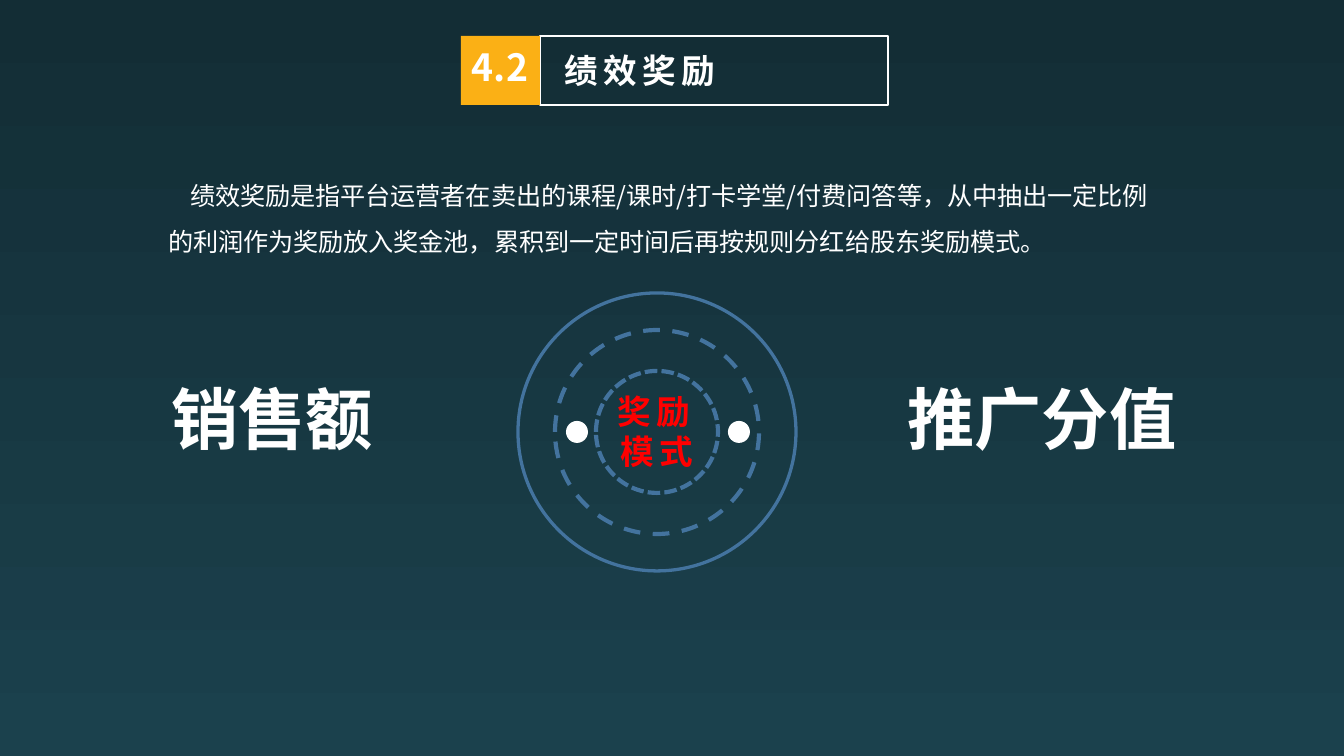
from typing import NamedTuple, Optional

from lxml.etree import SubElement
from pptx import Presentation
from pptx.dml.color import RGBColor
from pptx.enum.dml import MSO_LINE_DASH_STYLE as Dash
from pptx.enum.shapes import MSO_SHAPE as Shape
from pptx.enum.text import MSO_AUTO_SIZE as AutoSize, PP_ALIGN as Align
from pptx.oxml.ns import qn
from pptx.util import Pt

WIDTH, HEIGHT = 1344, 756
EMU_PER_PX = 9144000 / WIDTH
FONT = "Noto Sans CJK SC"
WHITE, AMBER, BLUE, RED = "FFFFFF", "FBB015", "43739E", "FF0000"


class Box(NamedTuple):
    x: int
    y: int
    w: int
    h: int


class Ring(NamedTuple):
    diameter: int
    weight: float
    dash: Optional[Dash]


class Label(NamedTuple):
    text: str
    box: Box


def px(n: int) -> int:
    return round(n * EMU_PER_PX)


def rgb(value: str) -> RGBColor:
    return RGBColor.from_string(value)


def centred(cx: int, cy: int, d: int) -> Box:
    return Box(cx - d // 2, cy - d // 2, d, d)


def add_shape(s, kind: Shape, box: Box, fill: Optional[str] = None,
              line: Optional[str] = None, weight: float = 0.75,
              dash: Optional[Dash] = None) -> None:
    sp = s.shapes.add_shape(kind, *map(px, box))
    sp.shadow.inherit = False
    if fill:
        sp.fill.solid()
        sp.fill.fore_color.rgb = rgb(fill)
    else:
        sp.fill.background()
    if line:
        sp.line.color.rgb = rgb(line)
        sp.line.width = Pt(weight)
        if dash:
            sp.line.dash_style = dash
    else:
        sp.line.fill.background()


def add_text(s, text: str, box: Box, *, size: float, color: str = WHITE,
             bold: bool = True, align: Align = Align.LEFT, tracking: int = 0,
             indent: int = 0, leading: float = 1.0) -> None:
    tf = s.shapes.add_textbox(*map(px, box)).text_frame
    tf.word_wrap = True
    tf.auto_size = AutoSize.SHAPE_TO_FIT_TEXT
    p = tf.paragraphs[0]
    p.alignment = align
    p.line_spacing = leading
    if indent:
        pPr = p._p.get_or_add_pPr()
        pPr.set("marL", "0")
        pPr.set("indent", str(px(indent)))
    r = p.add_run()
    r.text = text
    r.font.size = Pt(size)
    r.font.bold = bold
    r.font.color.rgb = rgb(color)
    r.font.name = FONT
    rPr = r._r.get_or_add_rPr()
    SubElement(rPr, qn("a:ea")).set("typeface", FONT)
    if tracking:
        rPr.set("spc", str(tracking * 100))


def add_background(s, top: str, bottom: str) -> None:
    fill = s.background.fill
    fill.gradient()
    fill.gradient_angle = 270
    for stop, color in zip(fill.gradient_stops, (top, bottom)):
        stop.color.rgb = rgb(color)


def add_heading(s) -> None:
    add_shape(s, Shape.RECTANGLE, Box(540, 36, 348, 69), line=WHITE)
    add_shape(s, Shape.RECTANGLE, Box(461, 36, 79, 69), fill=AMBER)
    add_text(s, "4.2", Box(449, 38, 102, 59), size=20, align=Align.CENTER)
    add_text(s, "绩效奖励", Box(551, 43, 336, 54), size=18, tracking=3)


def add_target(s, cx: int, cy: int) -> None:
    rings = (Ring(278, 1.75, None), Ring(204, 2.25, Dash.DASH),
             Ring(122, 2.25, Dash.SQUARE_DOT))
    for ring in rings:
        add_shape(s, Shape.OVAL, centred(cx, cy, ring.diameter),
                  line=BLUE, weight=ring.weight, dash=ring.dash)
    add_text(s, "奖励模式", Box(594, 384, 125, 95), size=18, color=RED,
             align=Align.CENTER, tracking=3)
    for offset in (-80, 82):
        add_shape(s, Shape.OVAL, centred(cx + offset, cy, 22), fill=WHITE)


def main() -> None:
    prs = Presentation()
    prs.slide_width, prs.slide_height = px(WIDTH), px(HEIGHT)
    s = prs.slides.add_slide(prs.slide_layouts[6])
    add_background(s, "132D35", "1B414D")
    add_heading(s)
    add_text(s, "绩效奖励是指平台运营者在卖出的课程/课时/打卡学堂/付费问答等，"
                "从中抽出一定比例的利润作为奖励放入奖金池，"
                "累积到一定时间后再按规则分红给股东奖励模式。",
             Box(155, 159, 1027, 105), size=13.5, bold=False,
             indent=22, leading=1.5)
    for label in (Label("销售额", Box(94, 371, 356, 95)),
                  Label("推广分值", Box(864, 371, 356, 95))):
        add_text(s, label.text, label.box, size=36, align=Align.CENTER)
    add_target(s, 657, 432)
    prs.save("out.pptx")


if __name__ == "__main__":
    main()
